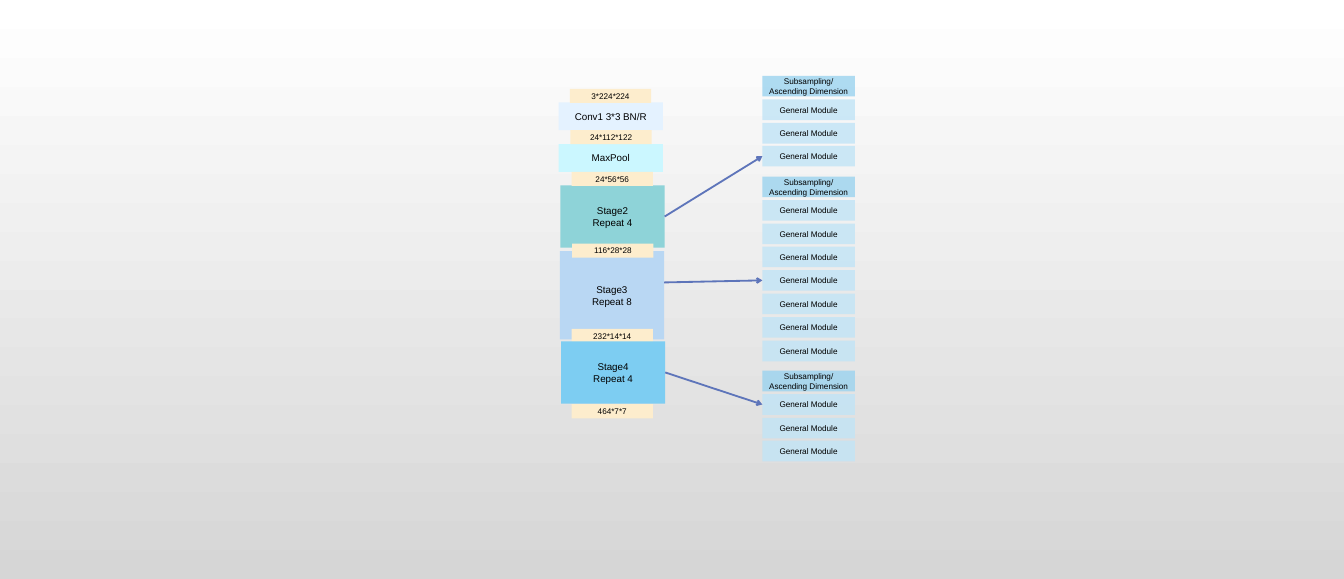
from lxml.etree import SubElement
from pptx import Presentation
from pptx.dml.color import RGBColor
from pptx.enum.shapes import MSO_CONNECTOR, MSO_SHAPE
from pptx.enum.text import MSO_ANCHOR, PP_ALIGN
from pptx.oxml.ns import qn
from pptx.util import Pt

PX = 9144  # 100 px to the inch
COLORS = {
    "text": "000000", "arrow": "5E75BA", "top": "FFFFFF", "bottom": "D6D6D6",
    "size": "FDEDCD", "conv": "E4F2FF", "pool": "CBF7FF",
    "stage2": "8ED3D8", "stage3": "B9D7F3", "stage4": "7DCDF2",
    "subsampling": "9BD3EF", "general": "C1E4F6",
}


def color(name):
    return RGBColor.from_string(COLORS[name])


def add_box(lines, left, top, width, height, fill, size, opacity=100):
    shape = slide.shapes.add_shape(
        MSO_SHAPE.RECTANGLE, left * PX, top * PX, width * PX, height * PX)
    shape.shadow.inherit = False
    shape.line.fill.background()
    shape.fill.solid()
    shape.fill.fore_color.rgb = color(fill)
    if opacity < 100:
        fill_color = shape.fill._xPr.find(qn("a:solidFill"))[0]
        SubElement(fill_color, qn("a:alpha"), val=str(opacity * 1000))
    frame = shape.text_frame
    frame.word_wrap = True
    frame.vertical_anchor = MSO_ANCHOR.MIDDLE
    frame.margin_left = frame.margin_right = 10 * PX
    frame.margin_top = frame.margin_bottom = 10 * PX
    for index, line in enumerate(lines):
        paragraph = frame.add_paragraph() if index else frame.paragraphs[0]
        paragraph.alignment = PP_ALIGN.CENTER
        run = paragraph.add_run()
        run.text = line
        run.font.name = "Arial"
        run.font.size = Pt(size)
        run.font.color.rgb = color("text")
    return shape


presentation = Presentation()
presentation.slide_width = 2283 * PX
presentation.slide_height = 984 * PX
slide = presentation.slides.add_slide(presentation.slide_layouts[6])

background = slide.background.fill
background.gradient()
background.gradient_angle = 270
for stop, name in zip(background.gradient_stops, ("top", "bottom")):
    stop.color.rgb = color(name)

# Network column: stage 4 comes last because it covers the edge of a size label
stage3 = add_box(["Stage3", "Repeat 8"], 951, 427, 177, 150, "stage3", 12)
stage2 = add_box(["Stage2", "Repeat 4"], 952, 315, 177, 106, "stage2", 12)
add_box(["Conv1 3*3 BN/R"], 949, 174, 177, 47, "conv", 12)
add_box(["MaxPool"], 949, 245, 177, 47, "pool", 12)

size_labels = [
    ("3*224*224", 968, 151), ("24*112*122", 969, 221), ("24*56*56", 971, 292),
    ("116*28*28", 972, 414), ("232*14*14", 971, 559), ("464*7*7", 971, 687),
]
for label, left, top in size_labels:
    add_box([label], left, top, 138, 24, "size", 10)
stage4 = add_box(["Stage4", "Repeat 4"], 953, 580, 177, 106, "stage4", 12)

# Each stage opens into one subsampling module and a run of general modules
MODULE_PITCH = 39.8
stacks = [(stage2, 129, 4, 3), (stage3, 300, 8, 4), (stage4, 630, 4, 1)]
for stage, stack_top, count, target in stacks:
    modules = []
    for index in range(count):
        lines, fill = ["General Module"], "general"
        if index == 0:
            lines, fill = ["Subsampling/", "Ascending Dimension"], "subsampling"
        top = round(stack_top + index * MODULE_PITCH)
        modules.append(add_box(lines, 1295, top, 157, 35, fill, 10, opacity=80))

    arrow = slide.shapes.add_connector(
        MSO_CONNECTOR.STRAIGHT, 1128 * PX, 480 * PX, 1295 * PX, 477 * PX)
    if stage is not stage3:  # this arrow leaves above the middle of the side
        arrow.begin_connect(stage, 3)
    arrow.end_connect(modules[target], 1)
    arrow.line.color.rgb = color("arrow")
    arrow.line.width = Pt(2.25)
    SubElement(arrow.line._get_or_add_ln(), qn("a:tailEnd"), type="arrow")
    SubElement(arrow._element.spPr, qn("a:effectLst"))

presentation.save("out.pptx")
